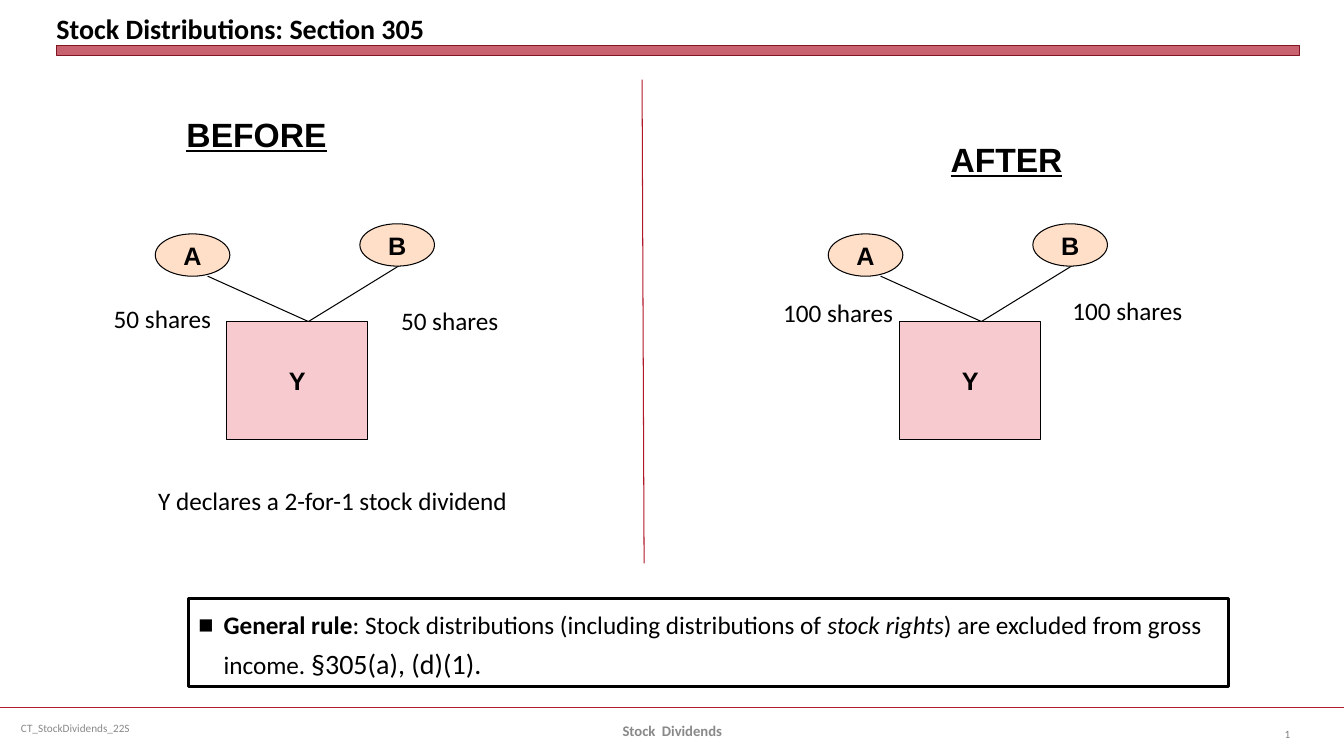
"""Build the Section 305 stock distribution slide on a grid of 40 columns by 22.5 rows."""
from typing import NamedTuple, Optional

from lxml import etree
from pptx import Presentation
from pptx.dml.color import RGBColor
from pptx.enum.shapes import MSO_CONNECTOR, MSO_SHAPE
from pptx.enum.text import MSO_ANCHOR, PP_ALIGN
from pptx.oxml.ns import qn
from pptx.util import Inches, Pt

COLORS = {
    "black": "000000", "white": "FFFFFF", "bar": "B01C2E", "bar_edge": "821522",
    "divider": "B0182A", "owner": "FFDFC8", "company": "F7CAD0",
    "footer": "898989", "number": "808080",
}
COLUMNS, ROWS = 40, 22.5
AFTER_SHIFT = 20.03
LEFT, CENTER, RIGHT = PP_ALIGN.LEFT, PP_ALIGN.CENTER, PP_ALIGN.RIGHT
TOP, MIDDLE, BOTTOM = MSO_ANCHOR.TOP, MSO_ANCHOR.MIDDLE, MSO_ANCHOR.BOTTOM


class Cell(NamedTuple):
    col: float
    row: float
    cols: float
    rows: float


class Style(NamedTuple):
    size: float = 18
    font: str = "Calibri"
    color: str = "black"
    bold: bool = False
    italic: bool = False
    underline: bool = False


class Label(NamedTuple):
    text: str
    cell: Cell
    style: Style = Style()
    align: PP_ALIGN = LEFT
    anchor: MSO_ANCHOR = TOP
    wrap: bool = False
    inset: Optional[float] = None


class Box(NamedTuple):
    kind: MSO_SHAPE
    cell: Cell
    fill: str
    line: str = "black"
    weight: float = 0.75
    text: str = ""


class Rule(NamedTuple):
    start: tuple[float, float]
    end: tuple[float, float]
    color: str = "black"
    weight: float = 0.75


NODE = Style(font="Arial", bold=True)
HEADING = Style(24, "Arial", bold=True, underline=True)

prs = Presentation()
prs.slide_width, prs.slide_height = Inches(13.33), Inches(7.5)
slide = prs.slides.add_slide(prs.slide_layouts[6])


def x(cols: float) -> int:
    """Convert columns to a length."""
    return round(prs.slide_width * cols / COLUMNS)


def y(rows: float) -> int:
    """Convert rows to a length."""
    return round(prs.slide_height * rows / ROWS)


def place(cell: Cell) -> tuple[int, int, int, int]:
    """Convert a grid cell to left, top, width and height."""
    return x(cell.col), y(cell.row), x(cell.cols), y(cell.rows)


def rgb(name: str) -> RGBColor:
    """Look up a named colour."""
    return RGBColor.from_string(COLORS[name])


def add_run(paragraph, text: str, style: Style) -> None:
    """Append a styled run to a paragraph."""
    run = paragraph.add_run()
    run.text = text
    font = run.font
    font.size, font.name = Pt(style.size), style.font
    font.bold, font.italic, font.underline = style.bold, style.italic, style.underline
    font.color.rgb = rgb(style.color)


def add_label(label: Label) -> None:
    """Draw a text box."""
    frame = slide.shapes.add_textbox(*place(label.cell)).text_frame
    frame.word_wrap, frame.vertical_anchor = label.wrap, label.anchor
    if label.inset is not None:
        frame.margin_left = frame.margin_right = x(label.inset)
        frame.margin_top = frame.margin_bottom = y(label.inset)
    frame.paragraphs[0].alignment = label.align
    add_run(frame.paragraphs[0], label.text, label.style)


def add_box(box: Box):
    """Draw a filled shape with optional centred text and return it."""
    shape = slide.shapes.add_shape(box.kind, *place(box.cell))
    shape.shadow.inherit = False
    shape.fill.solid()
    shape.fill.fore_color.rgb = rgb(box.fill)
    shape.line.color.rgb = rgb(box.line)
    shape.line.width = Pt(box.weight)
    if box.text:
        frame = shape.text_frame
        frame.word_wrap, frame.vertical_anchor = False, MIDDLE
        frame.paragraphs[0].alignment = CENTER
        add_run(frame.paragraphs[0], box.text, NODE)
    return shape


def add_rule(rule: Rule) -> None:
    """Draw a straight line without a shadow."""
    (x1, y1), (x2, y2) = rule.start, rule.end
    line = slide.shapes.add_connector(MSO_CONNECTOR.STRAIGHT, x(x1), y(y1), x(x2), y(y2))
    line.line.color.rgb = rgb(rule.color)
    line.line.width = Pt(rule.weight)
    etree.SubElement(line._element.spPr, qn("a:effectLst"))


def add_ownership(shift: float) -> None:
    """Draw owners A and B holding company Y, moved right by some columns."""
    hub = (9.18 + shift, 9.57)
    for end_col, end_row in ((6.18, 8.22), (11.91, 7.89)):
        add_rule(Rule(hub, (end_col + shift, end_row)))
    for name, col, row in (("A", 4.62, 6.96), ("B", 10.71, 6.66)):
        add_box(Box(MSO_SHAPE.OVAL, Cell(col + shift, row, 2.22, 1.26), "owner", text=name))
    add_box(Box(MSO_SHAPE.RECTANGLE, Cell(6.75 + shift, 9.57, 4.2, 3.51), "company", text="Y"))


def add_general_rule() -> None:
    """Draw the framed bullet that states the general rule."""
    frame = add_box(Box(MSO_SHAPE.RECTANGLE, Cell(5.61, 17.82, 30.96, 2.61),
                        "white", weight=2)).text_frame
    frame.word_wrap, frame.vertical_anchor = True, TOP
    paragraph = frame.paragraphs[0]
    paragraph.alignment, paragraph.line_spacing = LEFT, 1.2
    props = paragraph._p.get_or_add_pPr()
    props.set("marL", str(x(0.75)))
    props.set("indent", str(-x(0.75)))
    etree.SubElement(etree.SubElement(props, qn("a:buClr")), qn("a:srgbClr"), val=COLORS["black"])
    etree.SubElement(props, qn("a:buFont"), typeface="Arial")
    etree.SubElement(props, qn("a:buChar"), char="■")
    for text, style in (
        ("General rule", Style(bold=True)),
        (": Stock distributions (including distributions of ", Style()),
        ("stock rights", Style(italic=True)),
        (") are excluded from gross income. ", Style()),
        ("§305(a), (d)(1). ", Style(20)),
    ):
        add_run(paragraph, text, style)


LABELS = (
    Label("CT_StockDividends_22S", Cell(0.33, 21.06, 10.32, 1.2),
          Style(8, color="footer"), anchor=MIDDLE, wrap=True),
    Label("Stock  Dividends", Cell(13.68, 21.15, 12.66, 1.2),
          Style(10.5, color="footer", bold=True), CENTER, MIDDLE, True),
    Label("1", Cell(36.69, 21.24, 2.01, 1.2), Style(8, color="number"), RIGHT, MIDDLE, True),
    Label("Stock Distributions: Section 305", Cell(1.68, 0.15, 37, 1.2),
          Style(20, bold=True), anchor=BOTTOM, wrap=True, inset=0),
    Label("BEFORE", Cell(5.25, 3.24, 4.77, 1.5), HEADING, CENTER, MIDDLE),
    Label("AFTER", Cell(27.99, 3.99, 3.93, 1.5), HEADING, CENTER, MIDDLE),
    Label("50 shares", Cell(3.09, 8.88, 3.54, 1.2)),
    Label("50 shares", Cell(11.64, 8.94, 3.54, 1.2)),
    Label("100 shares", Cell(23.01, 8.7, 3.9, 1.2)),
    Label("100 shares", Cell(31.62, 8.64, 3.9, 1.2)),
    Label("Y declares a 2-for-1 stock dividend", Cell(4.41, 14.31, 11.13, 1.2)),
)

add_rule(Rule((0, 21.06), (COLUMNS, 21.06), "bar", 1.25))
title_bar = add_box(Box(MSO_SHAPE.RECTANGLE, Cell(1.68, 1.35, 37, 0.3), "bar", "bar_edge", 0))
bar_color = title_bar._element.spPr.find(qn("a:solidFill")).find(qn("a:srgbClr"))
etree.SubElement(bar_color, qn("a:alpha"), val="69000")
add_rule(Rule((19.11, 2.37), (19.17, 16.77), "divider"))
for offset in (0, AFTER_SHIFT):
    add_ownership(offset)
for item in LABELS:
    add_label(item)
add_general_rule()
prs.save("out.pptx")
